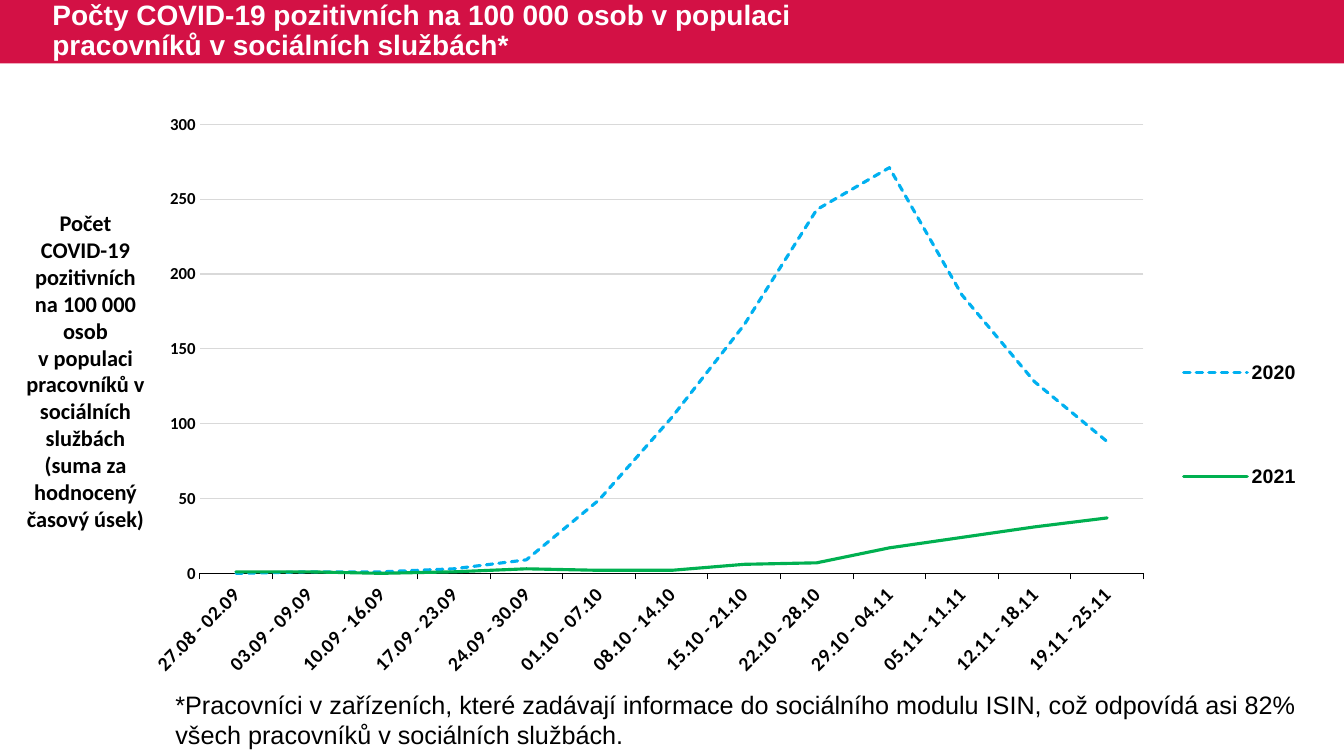
from dataclasses import dataclass

import lxml.etree
import pptx
import pptx.chart.data
import pptx.dml.color
import pptx.enum.chart
import pptx.enum.dml
import pptx.enum.shapes
import pptx.enum.text
import pptx.oxml.ns
import pptx.slide
import pptx.util

Cm = pptx.util.Cm
Pt = pptx.util.Pt
RGBColor = pptx.dml.color.RGBColor
qn = pptx.oxml.ns.qn
Align = pptx.enum.text.PP_ALIGN
Anchor = pptx.enum.text.MSO_ANCHOR
Dash = pptx.enum.dml.MSO_LINE
Tick = pptx.enum.chart.XL_TICK_MARK

CRIMSON = RGBColor(0xD3, 0x11, 0x45)
WHITE = RGBColor(0xFF, 0xFF, 0xFF)
BLACK = RGBColor(0, 0, 0)
GRID_GREY = RGBColor(0xD9, 0xD9, 0xD9)
BLUE = RGBColor(0x00, 0xB0, 0xF0)
GREEN = RGBColor(0x00, 0xB0, 0x50)
NBSP = chr(160)  # keeps numbers and prepositions together

WEEKS = [
    "27.08 - 02.09", "03.09 - 09.09", "10.09 - 16.09", "17.09 - 23.09",
    "24.09 - 30.09", "01.10 - 07.10", "08.10 - 14.10", "15.10 - 21.10",
    "22.10 - 28.10", "29.10 - 04.11", "05.11 - 11.11", "12.11 - 18.11",
    "19.11 - 25.11",
]
# Year: values, colour, dash
YEARS = {
    "2020": ([0, 1, 1, 3, 9, 49, 104, 166, 243, 271, 186, 128, 88], BLUE, Dash.SQUARE_DOT),
    "2021": ([1, 1, 0, 1, 3, 2, 2, 6, 7, 17, 24, 31, 37], GREEN, Dash.SOLID),
}
# Fractions of the chart
PLOT_LAYOUT = {
    "layoutTarget": "inner", "xMode": "edge", "yMode": "edge",
    "x": 0.045, "y": 0.017, "w": 0.803, "h": 0.759,
}
LEGEND_LAYOUT = {
    "xMode": "edge", "yMode": "edge", "x": 0.875, "y": 0.28, "w": 0.11, "h": 0.49,
}


def apply(target, **formats):
    for name, value in formats.items():
        setattr(target, name, value)


@dataclass
class SlideBuilder:
    slide: pptx.slide.Slide
    heading_font: str = "Arial"
    label_font: str = "Calibri"

    def style_font(self, font, size, name, bold=True, color=BLACK):
        apply(font, size=Pt(size), name=name, bold=bold)
        font.color.rgb = color

    def style_line(self, line, color, width, dash=Dash.SOLID):
        line.color.rgb = color
        apply(line, width=Pt(width), dash_style=dash)

    def band(self, left, top, width, height, color):
        shape = self.slide.shapes.add_shape(
            pptx.enum.shapes.MSO_SHAPE.RECTANGLE,
            Cm(left), Cm(top), Cm(width), Cm(height))
        shape.shadow.inherit = False
        shape.fill.solid()
        shape.fill.fore_color.rgb = color
        shape.line.fill.background()

    def text(self, box, text, size, name, bold=False, color=BLACK,
             anchor=Anchor.TOP, **paragraph_formats):
        frame = self.slide.shapes.add_textbox(*map(Cm, box)).text_frame
        apply(frame, word_wrap=True, vertical_anchor=anchor)
        paragraph = frame.paragraphs[0]
        apply(paragraph, **paragraph_formats)
        run = paragraph.add_run()
        run.text = text
        self.style_font(run.font, size, name, bold, color)

    def line_chart(self, box, categories, series_by_name):
        data = pptx.chart.data.CategoryChartData()
        data.categories = categories
        for name, (values, _, _) in series_by_name.items():
            data.add_series(name, values)
        chart = self.slide.shapes.add_chart(
            pptx.enum.chart.XL_CHART_TYPE.LINE, *map(Cm, box), data).chart
        apply(chart, has_title=False, has_legend=True)
        self.style_font(chart.font, 14, self.heading_font)
        chart.plots[0].vary_by_categories = False

        # Series
        for series in chart.plots[0].series:
            _, color, dash = series_by_name[series.name]
            series.smooth = False
            series.marker.style = pptx.enum.chart.XL_MARKER_STYLE.NONE
            self.style_line(series.format.line, color, 2.25, dash)

        # Legend
        apply(chart.legend, include_in_layout=False,
              position=pptx.enum.chart.XL_LEGEND_POSITION.RIGHT)
        self.style_font(chart.legend.font, 14, self.heading_font)

        # Axes
        weeks, counts = chart.category_axis, chart.value_axis
        apply(weeks, major_tick_mark=Tick.OUTSIDE, minor_tick_mark=Tick.NONE)
        apply(counts, major_tick_mark=Tick.NONE, minor_tick_mark=Tick.NONE,
              minimum_scale=0, maximum_scale=300, major_unit=50,
              has_major_gridlines=True)
        self.style_font(weeks.tick_labels.font, 14, self.label_font)
        self.style_font(counts.tick_labels.font, 12, self.label_font)
        self.style_line(weeks.format.line, BLACK, 0.75)
        counts.format.line.fill.background()
        self.style_line(counts.major_gridlines.format.line, GRID_GREY, 0.75)

        self.refine_chart(chart)

    def refine_chart(self, chart):
        """Slant the week labels, round the line ends, place plot and legend."""
        plot_area = chart.element.find(".//" + qn("c:plotArea"))
        labels = plot_area.find("/".join(map(qn, ("c:catAx", "c:txPr", "a:bodyPr"))))
        labels.set("rot", "-2700000")
        labels.set("vert", "horz")
        for series in plot_area.iter(qn("c:ser")):
            series.find("/".join(map(qn, ("c:spPr", "a:ln")))).set("cap", "rnd")
        self.place(plot_area, 0, PLOT_LAYOUT)
        self.place(chart.element.find(".//" + qn("c:legend")), 1, LEGEND_LAYOUT)

    def place(self, part, index, values):
        layout = part.find(qn("c:layout"))
        if layout is None:
            layout = lxml.etree.Element(qn("c:layout"))
            part.insert(index, layout)
        manual = lxml.etree.SubElement(layout, qn("c:manualLayout"))
        for tag, value in values.items():
            lxml.etree.SubElement(manual, qn("c:" + tag)).set("val", str(value))


def main():
    presentation = pptx.Presentation()
    apply(presentation, slide_width=Cm(33.87), slide_height=Cm(19.05))
    builder = SlideBuilder(presentation.slides.add_slide(presentation.slide_layouts[6]))

    # Title band
    builder.band(0, 0, 33.87, 1.6, CRIMSON)
    builder.text(
        (1.07, 0, 21.67, 1.6),
        "Počty COVID-19 pozitivních na 100 000 osob v populaci "
        "pracovníků v sociálních službách*",
        20, builder.heading_font, bold=True, color=WHITE,
        anchor=Anchor.MIDDLE, line_spacing=0.9)

    # Value axis caption
    builder.text(
        (0.16, 5.15, 3.99, 7.77),
        f"Počet COVID-19 pozitivních na{NBSP}100{NBSP}000 osob v{NBSP}populaci "
        "pracovníků v sociálních službách (suma za hodnocený časový úsek)",
        16, builder.label_font, bold=True, alignment=Align.CENTER)

    # Footnote
    builder.text(
        (4.17, 17.25, 29.36, 1.8),
        "*Pracovníci v zařízeních, které zadávají informace do sociálního modulu "
        "ISIN, což odpovídá asi 82% všech pracovníků v sociálních službách.",
        18, builder.heading_font)

    # Weekly counts
    builder.line_chart((3.7, 2.88, 29.62, 14.91), WEEKS, YEARS)

    presentation.save("out.pptx")


if __name__ == "__main__":
    main()
